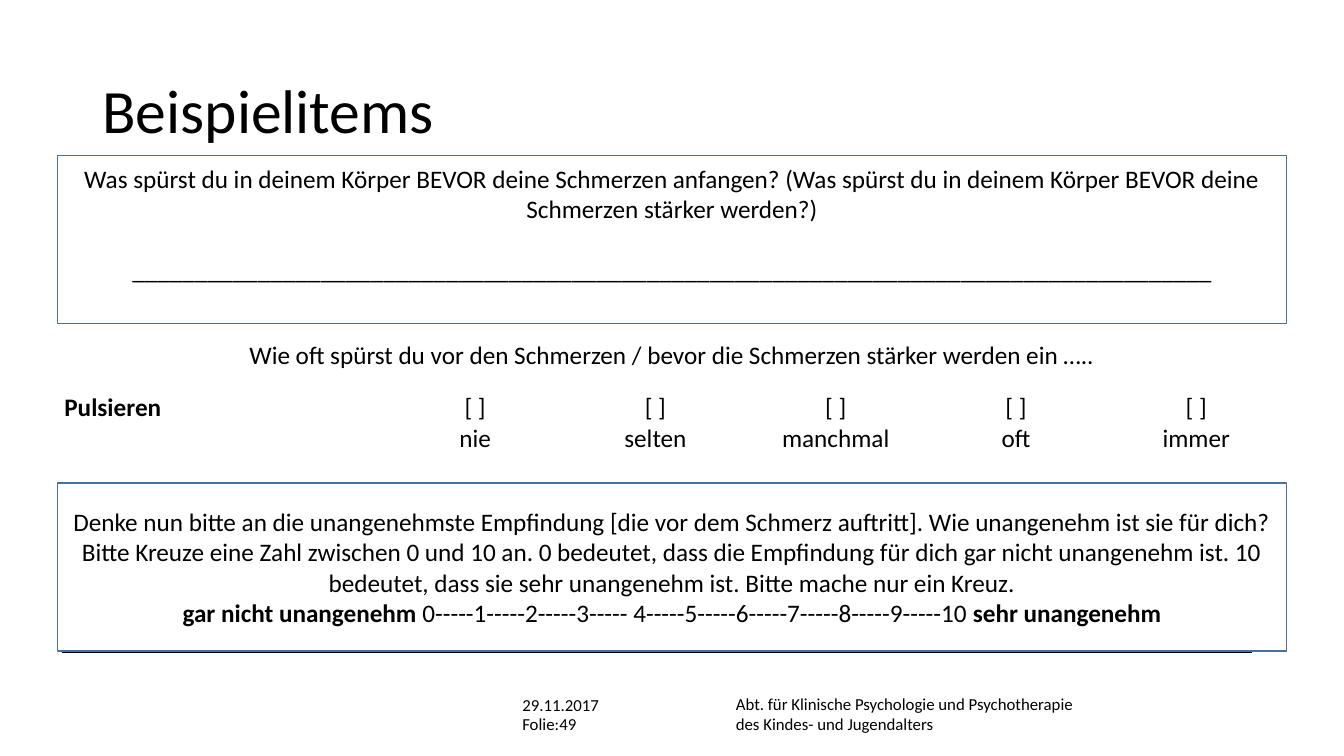
import pptx
import pptx.dml.color
import pptx.enum.shapes
import pptx.enum.text
import pptx.oxml.ns
import pptx.util
from lxml import etree

Pt = pptx.util.Pt
RGB = pptx.dml.color.RGBColor
ALIGN = pptx.enum.text.PP_ALIGN
ANCHOR = pptx.enum.text.MSO_ANCHOR
BLACK = RGB(0x00, 0x00, 0x00)
WHITE = RGB(0xFF, 0xFF, 0xFF)
BLUE = RGB(0x43, 0x73, 0x9E)

TITLE = {"name": "Calibri", "size": Pt(44), "bold": False}
BODY = {"name": "Calibri", "size": Pt(18), "bold": False}
STRONG = {**BODY, "bold": True}
SMALL = {**BODY, "size": Pt(12)}
WRAP = {"word_wrap": True}
MIDDLE = {**WRAP, "vertical_anchor": ANCHOR.MIDDLE}
TOP = {**WRAP, "vertical_anchor": ANCHOR.TOP, "margin_top": Pt(5.2)}
CELL = {"margin_left": Pt(5), "margin_right": Pt(5), "margin_top": 0, "margin_bottom": 0}

FREE = [
    [("Was spürst du in deinem Körper BEVOR deine Schmerzen anfangen? "
      "(Was spürst du in deinem Körper BEVOR deine Schmerzen stärker werden?)", BODY)],
    [("_" * 86, BODY)],
]
SCALE = [
    [("Denke nun bitte an die unangenehmste Empfindung [die vor dem Schmerz auftritt]. "
      "Wie unangenehm ist sie für dich?", BODY)],
    [("Bitte Kreuze eine Zahl zwischen 0 und 10 an. 0 bedeutet, dass die Empfindung für dich "
      "gar nicht unangenehm ist. 10 bedeutet, dass sie sehr unangenehm ist. "
      "Bitte mache nur ein Kreuz.", BODY)],
    [("gar nicht unangenehm", STRONG),
     (" 0-----1-----2-----3----- 4-----5-----6-----7-----8-----9-----10 ", BODY),
     ("sehr unangenehm", STRONG)],
]
ASK = "Wie oft spürst du vor den Schmerzen / bevor die Schmerzen stärker werden ein ….."
RATES = ["nie", "selten", "manchmal", "oft", "immer"]


def style(item, form):
    for key, value in form.items():
        setattr(item, key, value)


def write(frame, lines, align, gap=0):
    for i, line in enumerate(lines):
        par = frame.add_paragraph() if i else frame.paragraphs[0]
        par.alignment = align
        if i and gap:
            par.space_before = Pt(gap)
        for text, form in line:
            run = par.add_run()
            run.text = text
            style(run.font, form)
            run.font.color.rgb = BLACK


def head(slide, x, y, w, h):
    title = slide.shapes.title
    style(title, {"left": Pt(x), "top": Pt(y), "width": Pt(w), "height": Pt(h)})
    style(title.text_frame, MIDDLE)
    write(title.text_frame, [[("Beispielitems", TITLE)]], ALIGN.LEFT)
    title.text_frame.paragraphs[0].line_spacing = 0.9


def panel(slide, x, y, w, h, lines, form, gap=0):
    box = slide.shapes.add_shape(pptx.enum.shapes.MSO_SHAPE.RECTANGLE, Pt(x), Pt(y), Pt(w), Pt(h))
    box.shadow.inherit = False
    box.fill.solid()
    box.fill.fore_color.rgb = WHITE
    box.line.color.rgb = BLUE
    box.line.width = Pt(1)
    style(box.text_frame, form)
    write(box.text_frame, lines, ALIGN.CENTER, gap)


def grid(slide, x, y, w, h):
    rows = [[ASK] + [""] * 5, ["Pulsieren"] + ["[ ]"] * 5, [""] + RATES]
    table = slide.shapes.add_table(3, 6, Pt(x), Pt(y), Pt(w), Pt(h)).table
    first = 234
    for i, col in enumerate(table.columns):
        col.width = Pt((w - first) / 5 if i else first)
    for row, part in zip(table.rows, (0.4, 0.24, 0.36)):
        row.height = Pt(h * part)
    for i, row in enumerate(rows):
        for j, text in enumerate(row):
            cell = table.cell(i, j)
            style(cell, CELL)
            cell.fill.solid()
            cell.fill.fore_color.rgb = WHITE
            if text:
                label = i == 1 and j == 0
                write(cell.text_frame, [[(text, STRONG if label else BODY)]],
                      ALIGN.LEFT if label else ALIGN.CENTER)
    table.cell(0, 0).merge(table.cell(0, 5))


def note(slide, x, y, w, h, text, form):
    box = slide.shapes.add_textbox(Pt(x), Pt(y), Pt(w), Pt(h))
    style(box.text_frame, form)
    write(box.text_frame, [[(text, SMALL)]], ALIGN.LEFT)


def foot(slide, x, y, w):
    rule = slide.shapes.add_connector(
        pptx.enum.shapes.MSO_CONNECTOR.STRAIGHT, Pt(x), Pt(y), Pt(x + w), Pt(y))
    rule.line.color.rgb = BLACK
    rule.line.width = Pt(0.5)
    etree.SubElement(rule._element.spPr, pptx.oxml.ns.qn("a:effectLst"))
    note(slide, x + 474.5, y + 26, 265, 36,
         "Abt. für Klinische Psychologie und Psychotherapie des Kindes- und Jugendalters", WRAP)
    note(slide, x + 322, y + 40.3, 89, 22, "Folie:", WRAP)
    note(slide, x + 322, y + 23, 85, 29, "29.11.2017", MIDDLE)
    note(slide, x + 348.5, y + 36.7, 45, 29, "49", MIDDLE)


def main():
    deck = pptx.Presentation()
    deck.slide_width, deck.slide_height = Pt(960), Pt(540)
    slide = deck.slides.add_slide(deck.slide_layouts[5])
    left, wide, high = 41, 878, 120
    foot(slide, 44, 466, 850)
    head(slide, 66, 29, 828, 104.4)
    panel(slide, left, 111.3, wide, high, FREE, TOP, 22)
    panel(slide, left, 345, wide, high, SCALE, MIDDLE)
    grid(slide, left, 243.4, wide, 92)
    deck.save("out.pptx")


if __name__ == "__main__":
    main()
